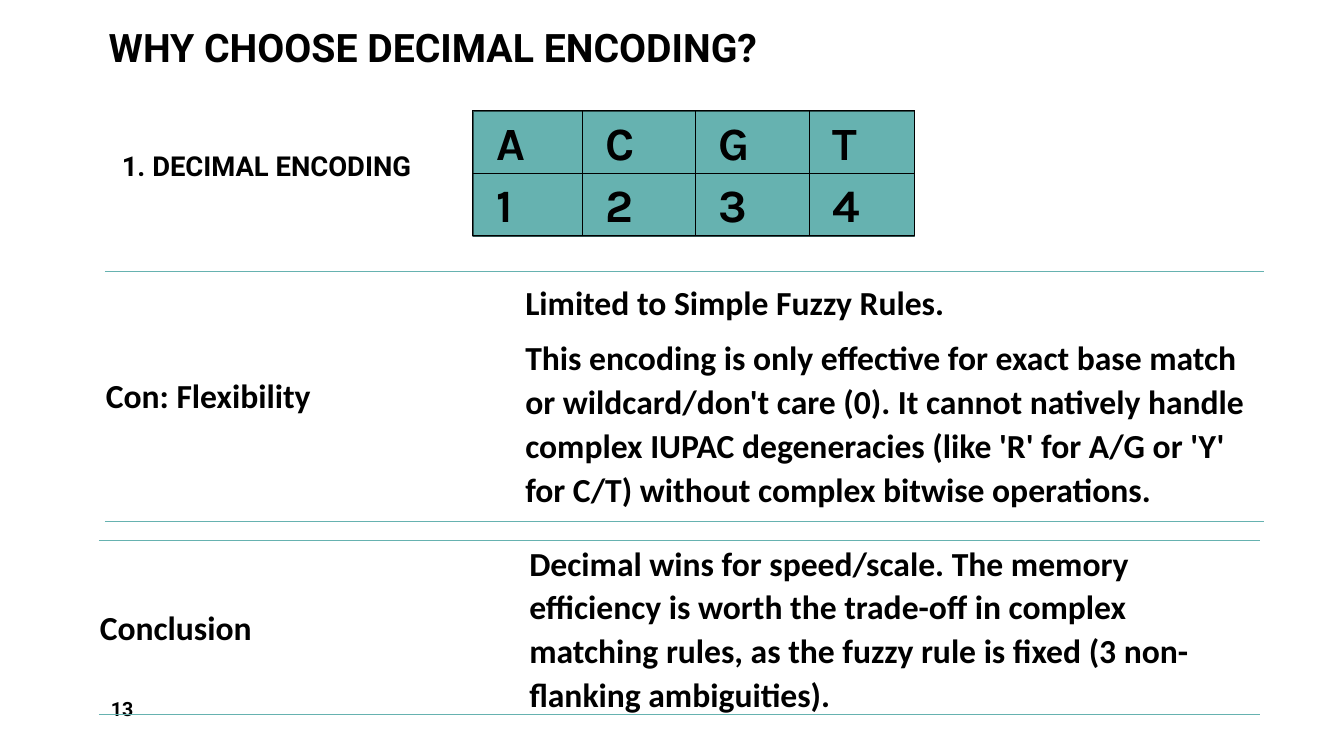
from lxml import etree
from pptx import Presentation
from pptx.dml.color import RGBColor
from pptx.enum.shapes import MSO_SHAPE
from pptx.enum.text import MSO_ANCHOR
from pptx.oxml.ns import qn
from pptx.util import Pt

PX = 9144  # 100 px to the inch
RECT = MSO_SHAPE.RECTANGLE
TOP, MID, LOW = MSO_ANCHOR.TOP, MSO_ANCHOR.MIDDLE, MSO_ANCHOR.BOTTOM
INK = {"text": "000000", "teal": "66B2B0", "edge": "2D4E4D"}
CODES = [["A", "C", "G", "T"], ["1", "2", "3", "4"]]
FLEX = [
    "Limited to Simple Fuzzy Rules.",
    "This encoding is only effective for exact base match or wildcard/don't "
    "care (0). It cannot natively handle complex IUPAC degeneracies (like 'R' "
    "for A/G or 'Y' for C/T) without complex bitwise operations.",
]
VERDICT = [
    "Decimal wins for speed/scale. The memory efficiency is worth the "
    "trade-off in complex matching rules, as the fuzzy rule is fixed "
    "(3 non-flanking ambiguities).",
]


def color(name):
    return RGBColor.from_string(INK[name])


def emu(box):
    return [n * PX for n in box]


def write(frame, lines, font, size, lead=1.0, after=0):
    """Fill a text frame with one bold paragraph per line."""
    frame.word_wrap = True
    for i, line in enumerate(lines):
        par = frame.paragraphs[0] if i == 0 else frame.add_paragraph()
        par.text = line
        par.line_spacing = lead
        par.space_after = Pt(after)
        for run in par.runs:
            run.font.name = font
            run.font.size = Pt(size)
            run.font.bold = True
            run.font.color.rgb = color("text")


def label(slide, box, text, size, anchor, lead=1.0, after=0):
    frame = slide.shapes.add_textbox(*emu(box)).text_frame
    frame.vertical_anchor = anchor
    write(frame, [text], "Roboto", size, lead, after)


def border(cell, sides, ink):
    """Draw the named sides of a cell and hide the others."""
    props = cell._tc.get_or_add_tcPr()
    for i, side in enumerate("LRTB"):
        line = etree.Element(qn("a:ln" + side), w=str(Pt(1)))
        if side in sides:
            fill = etree.SubElement(line, qn("a:solidFill"))
            etree.SubElement(fill, qn("a:srgbClr"), val=INK[ink])
        else:
            etree.SubElement(line, qn("a:noFill"))
        props.insert(i, line)


def grid(slide, box, cols, row, cells, inset, sides, ink, style, anchor):
    """Place a clear table; each cell holds a list of lines."""
    table = slide.shapes.add_table(len(cells), len(cols), *emu(box)).table
    table.first_row = table.horz_banding = False
    for col, width in zip(table.columns, cols):
        col.width = width * PX
    for r, texts in enumerate(cells):
        table.rows[r].height = row * PX
        for c, lines in enumerate(texts):
            cell = table.cell(r, c)
            cell.fill.background()
            border(cell, sides, ink)
            (cell.margin_left, cell.margin_top,
             cell.margin_right, cell.margin_bottom) = emu(inset)
            cell.vertical_anchor = anchor
            write(cell.text_frame, lines, **style)


def code_key(slide, box):
    back = slide.shapes.add_shape(RECT, *emu(box))
    back.shadow.inherit = False
    back.fill.solid()
    back.fill.fore_color.rgb = color("teal")
    back.line.color.rgb = color("edge")
    back.line.width = Pt(1)
    cells = [[[code] for code in row] for row in CODES]
    style = {"font": "Karla", "size": 33, "lead": 1.07}
    grid(slide, box, [109, 112, 113, 104], 52, cells, (23, 3, 23, 0),
         "LRTB", "text", style, TOP)


def point(slide, box, split, head, lines):
    """A ruled row: heading on the left, text on the right."""
    style = {"font": "Calibri", "size": 24, "lead": 1.07, "after": 8}
    grid(slide, box, [split, box[2] - split], box[3], [[[head], lines]],
         (1, 1, 1, 1), "TB", "teal", style, MID)


def main():
    deck = Presentation()
    deck.slide_width, deck.slide_height = 1333 * PX, 750 * PX
    slide = deck.slides.add_slide(deck.slide_layouts[6])
    label(slide, (98, 7, 1138, 68), "WHY CHOOSE DECIMAL ENCODING?", 28, LOW, 0.9)
    label(slide, (111, 149, 344, 68), "1. DECIMAL ENCODING", 19.6, TOP, 0.8, 12)
    label(slide, (100, 683, 292, 40), "13", 14, MID, after=6)
    code_key(slide, (469, 110, 438, 124))
    point(slide, (104, 269, 1150, 248), 416, "Con: Flexibility", FLEX)
    point(slide, (98, 536, 1152, 168), 426, "Conclusion", VERDICT)
    deck.save("out.pptx")


if __name__ == "__main__":
    main()
